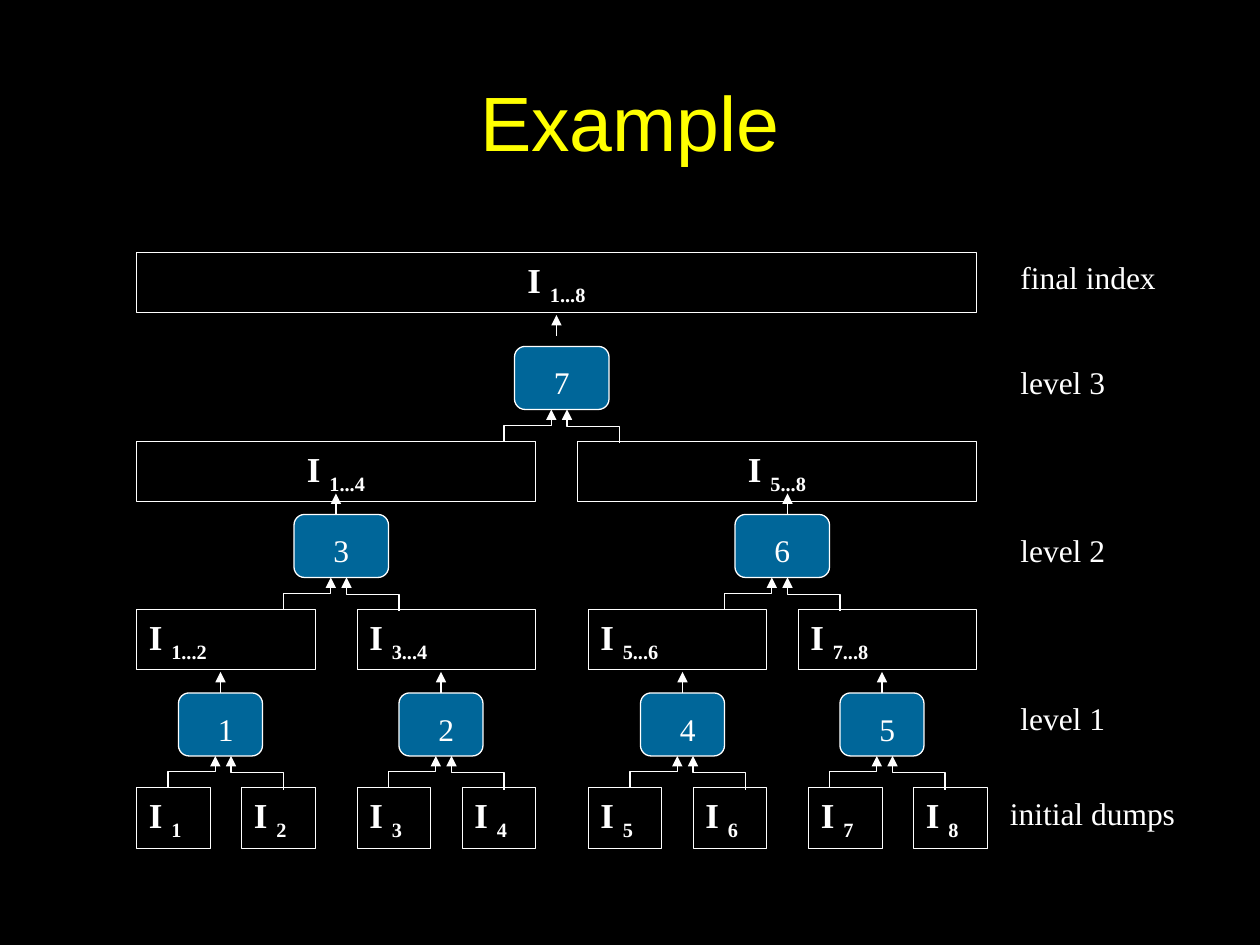
from pptx import Presentation
from pptx import util as u
from pptx.dml.color import RGBColor
from pptx.enum import shapes, text
from pptx.oxml.ns import qn
from lxml import etree

BLACK = RGBColor(0, 0, 0)
WHITE = RGBColor(255, 255, 255)
YELLOW = RGBColor(255, 255, 0)
BLUE = RGBColor(0, 0x66, 0x99)
SERIF = "Times New Roman"
CENTER = text.PP_ALIGN.CENTER
LEFT = text.PP_ALIGN.LEFT

TITLE = "Example"
INDEX_ROWS = [
    dict(top=144, width=480, align=CENTER, items=[("1...8", 78)]),
    dict(top=252, width=228, align=CENTER, items=[("1...4", 78), ("5...8", 330)]),
    dict(top=348, width=102, align=LEFT,
         items=[("1...2", 78), ("3...4", 204), ("5...6", 336), ("7...8", 456)]),
    dict(top=450, width=42, align=LEFT,
         items=[("1", 78), ("2", 138), ("3", 204), ("4", 264),
                ("5", 336), ("6", 396), ("7", 462), ("8", 522)]),
]
MERGE_ROWS = [
    dict(top=396, width=48, gap=0,
         items=[("1", 102, 24), ("2", 228, 24), ("4", 366, 24), ("5", 480, 24)]),
    dict(top=294, width=54, gap=0, items=[("3", 168, 24), ("6", 420, 30)]),
    dict(top=198, width=54, gap=6, items=[("7", 294, 24)]),
]
CAPTIONS = [
    ("final index", 576, 144, 102),
    ("level 3", 576, 204, 114),
    ("level 2", 576, 300, 114),
    ("level 1", 576, 396, 114),
    ("initial dumps", 570, 450, 114),
]
INDEX_HEIGHT = 34.56
MERGE_HEIGHT = 36
LABEL_HEIGHT = 28.8
ARROW_LENGTH = 12
FEEDS = [(-6, 21, 18), (60, 30, 19.2)]


def write(frame, words, size=18, font=SERIF, color=WHITE, bold=False,
          align=LEFT, before=11.2, subscript=""):
    para = frame.paragraphs[0]
    para.alignment = align
    para.space_before = u.Pt(before)
    for part in filter(None, (words, subscript)):
        span = para.add_run()
        span.text = part
        span.font.size = u.Pt(size)
        span.font.name = font
        span.font.bold = bold
        span.font.color.rgb = color
    if subscript:
        span.font._element.set("baseline", "-25000")


def fit(frame):
    frame.word_wrap = True
    frame.vertical_anchor = text.MSO_ANCHOR.TOP
    frame.auto_size = text.MSO_AUTO_SIZE.SHAPE_TO_FIT_TEXT


def add_box(page, kind, left, top, width, height, line, fill=None):
    box = page.shapes.add_shape(kind, *map(u.Pt, (left, top, width, height)))
    box.shadow.inherit = False
    box.line.color.rgb = WHITE
    box.line.width = u.Pt(line)
    if fill is None:
        box.fill.background()
    else:
        box.fill.solid()
        box.fill.fore_color.rgb = fill
    return box


def add_label(page, words, left, top, width, align=LEFT):
    box = page.shapes.add_textbox(*map(u.Pt, (left, top, width, LABEL_HEIGHT)))
    fit(box.text_frame)
    write(box.text_frame, words, align=align)


def add_arrow(page, kind, *ends):
    arrow = page.shapes.add_connector(kind, *map(u.Pt, ends))
    arrow.line.color.rgb = WHITE
    arrow.line.width = u.Pt(0.75)
    head = etree.SubElement(arrow.line._get_or_add_ln(), qn("a:tailEnd"))
    head.set("type", "triangle")
    etree.SubElement(arrow._element.spPr, qn("a:effectLst"))
    return arrow


def add_upward_elbow(page, x1, y1, x2, y2):
    middle_x, middle_y = (x1 + x2) / 2, (y1 + y2) / 2
    half_run, half_rise = abs(x2 - x1) / 2, (y1 - y2) / 2
    side = 1 if x1 < x2 else -1
    arrow = add_arrow(page, shapes.MSO_CONNECTOR.ELBOW,
                      middle_x + side * half_rise, middle_y + half_run,
                      middle_x - side * half_rise, middle_y - half_run)
    turn = 90 if side == 1 else 270
    arrow._element.spPr.find(qn("a:xfrm")).set("rot", str(turn * 60000))


def add_merge(page, row, name, left, arrow_offset):
    top, width = row["top"], row["width"]
    node = add_box(page, shapes.MSO_SHAPE.ROUNDED_RECTANGLE, left, top,
                   width, MERGE_HEIGHT, 0.75, BLUE)
    add_label(page, name, left + 12, top + 6, 30, CENTER)
    bottom = top + MERGE_HEIGHT
    for start, end, drop in FEEDS:
        add_upward_elbow(page, left + start, bottom + drop, left + end, bottom)
    x, y = left + arrow_offset, top - row["gap"]
    arrow = add_arrow(page, shapes.MSO_CONNECTOR.STRAIGHT, x, y, x, y - ARROW_LENGTH)
    if arrow_offset * 2 == width and not row["gap"]:
        arrow.begin_connect(node, 0)


def main():
    deck = Presentation()
    deck.slide_width, deck.slide_height = u.Pt(720), u.Pt(540)
    page = deck.slides.add_slide(deck.slide_layouts[5])
    page.background.fill.solid()
    page.background.fill.fore_color.rgb = BLACK

    title = page.shapes.title
    title.left, title.top, title.width, title.height = map(u.Pt, (54, 30, 612, 78))
    title.text_frame.vertical_anchor = text.MSO_ANCHOR.MIDDLE
    write(title.text_frame, TITLE, size=44, font="Arial", color=YELLOW,
          align=CENTER, before=0)

    for row in INDEX_ROWS:
        for span, left in row["items"]:
            box = add_box(page, shapes.MSO_SHAPE.RECTANGLE, left, row["top"],
                          row["width"], INDEX_HEIGHT, 0.25)
            fit(box.text_frame)
            write(box.text_frame, "I ", size=20, bold=True, align=row["align"],
                  before=12.5, subscript=span)

    for row in MERGE_ROWS:
        for item in row["items"]:
            add_merge(page, row, *item)

    for caption in CAPTIONS:
        add_label(page, *caption)

    deck.save("out.pptx")


if __name__ == "__main__":
    main()
